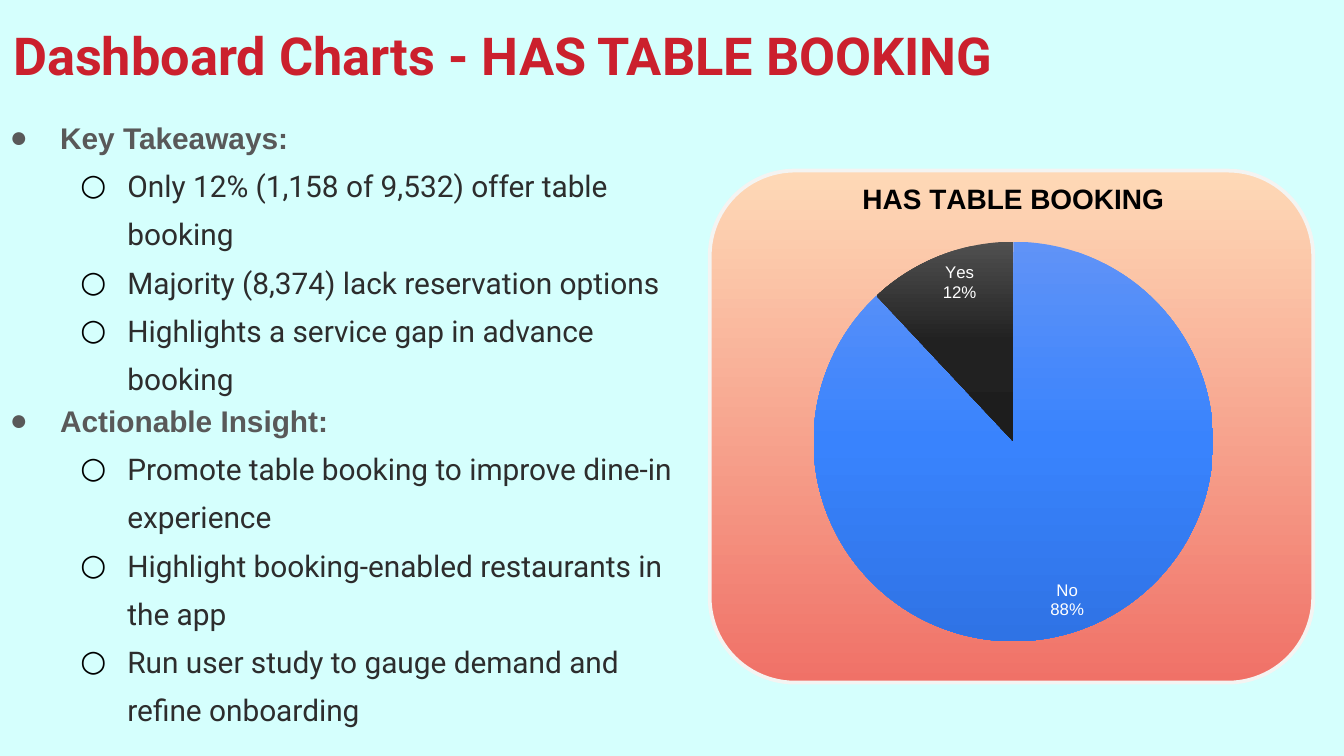
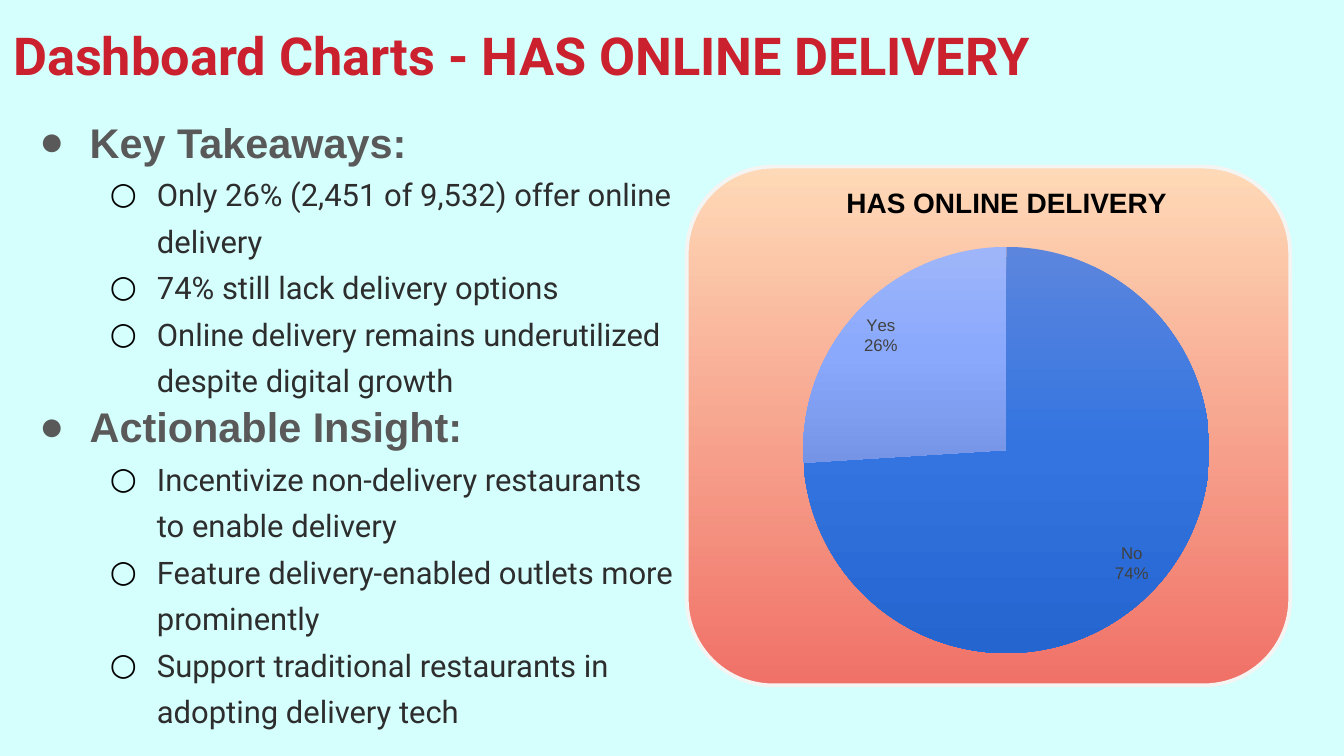
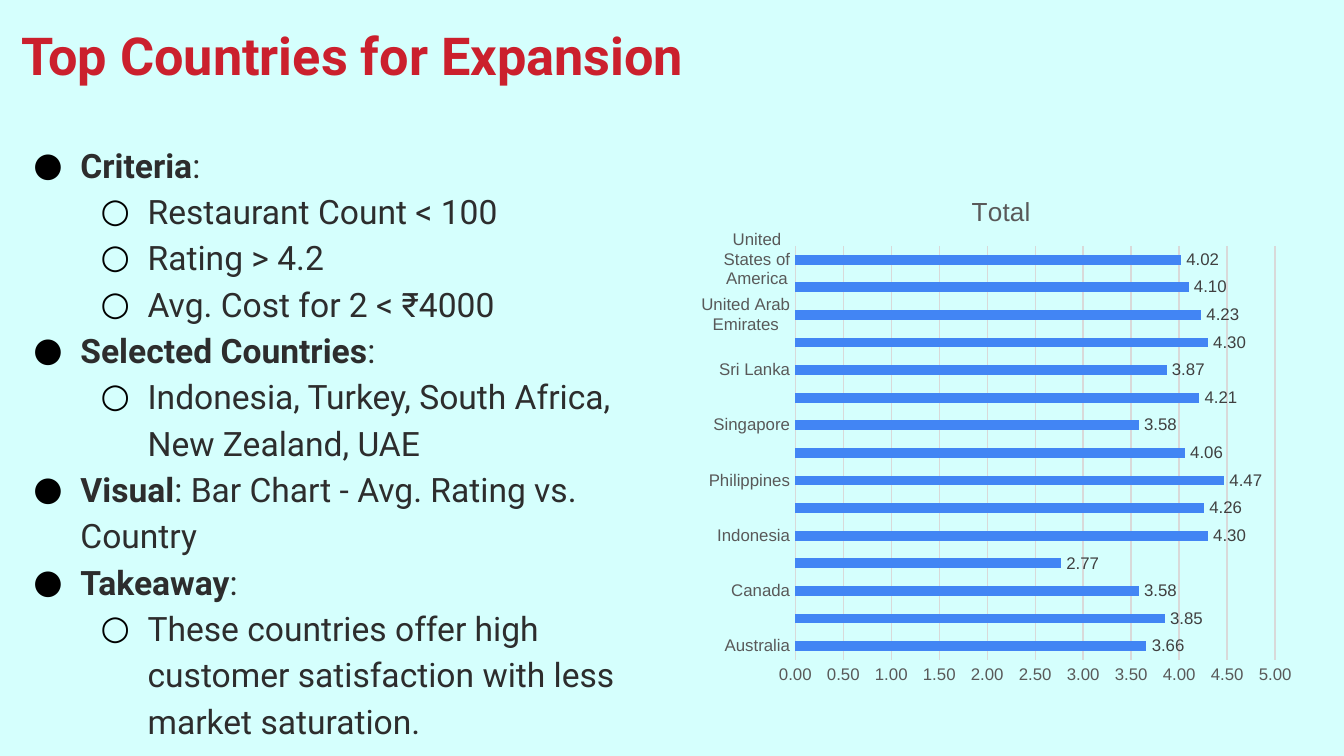
from copy import deepcopy

from lxml import etree
from pptx import Presentation
from pptx.chart import data as chart_data
from pptx.dml.color import RGBColor
from pptx.enum import chart as charts, shapes, text
from pptx.oxml import ns
from pptx.util import Pt

AQUA = RGBColor(0xD5, 0xFF, 0xFD)
RED = RGBColor(0xCB, 0x20, 0x2D)
INK = RGBColor(0x2D, 0x2D, 0x2D)
GREY = RGBColor(0x59, 0x59, 0x59)
LABEL_GREY = RGBColor(0x40, 0x40, 0x40)
GRID_GREY = RGBColor(0xD9, 0xD9, 0xD9)
BLACK = RGBColor(0, 0, 0)
WHITE = RGBColor(0xFF, 0xFF, 0xFF)
CARD_LINE = RGBColor(0xF4, 0xF4, 0xF2)
BAR_BLUE = RGBColor(0x42, 0x85, 0xF4)
CARD_STOPS = [RGBColor(0xFE, 0xD9, 0xB7), RGBColor(0xF0, 0x71, 0x67)]
BRIGHT_BLUE = [RGBColor(0x60, 0x93, 0xF7), RGBColor(0x39, 0x83, 0xFD), RGBColor(0x2F, 0x73, 0xE5)]
CHARCOAL = [RGBColor(0x50, 0x50, 0x50), RGBColor(0x21, 0x21, 0x21), RGBColor(0x1D, 0x1D, 0x1D)]
DEEP_BLUE = [RGBColor(0x5C, 0x86, 0xDE), RGBColor(0x33, 0x74, 0xE0), RGBColor(0x24, 0x65, 0xD0)]
PALE_BLUE = [RGBColor(0x9E, 0xB6, 0xF9), RGBColor(0x8A, 0xA9, 0xFC), RGBColor(0x75, 0x94, 0xE5)]

BODY_FONT = "Roboto"
CHART_FONT = "Arial"
INSET = 7.2

BOOKING = [
    ("Key Takeaways:", [
        "Only 12% (1,158 of 9,532) offer table booking",
        "Majority (8,374) lack reservation options",
        "Highlights a service gap in advance booking"]),
    ("Actionable Insight:", [
        "Promote table booking to improve dine-in experience",
        "Highlight booking-enabled restaurants in the app",
        "Run user study to gauge demand and refine onboarding"]),
]
DELIVERY = [
    ("Key Takeaways:", [
        "Only 26% (2,451 of 9,532) offer online delivery",
        "74% still lack delivery options",
        "Online delivery remains underutilized despite digital growth"]),
    ("Actionable Insight:", [
        "Incentivize non-delivery restaurants to enable delivery",
        "Feature delivery-enabled outlets more prominently",
        "Support traditional restaurants in adopting delivery tech"]),
]
EXPANSION = [
    ("Criteria", ":", ["Restaurant Count < 100", "Rating > 4.2", "Avg. Cost for 2 < ₹4000"]),
    ("Selected Countries", ":", ["Indonesia, Turkey, South Africa, New Zealand, UAE"]),
    ("Visual", ": Bar Chart - Avg. Rating vs. Country", []),
    ("Takeaway", ":", [
        "These countries offer high customer satisfaction with less market saturation."]),
]
RATINGS = {
    "Australia": 3.66, "Brazil": 3.85, "Canada": 3.58, "India": 2.77, "Indonesia": 4.3,
    "New Zealand": 4.26, "Philippines": 4.47, "Qatar": 4.06, "Singapore": 3.58,
    "South Africa": 4.21, "Sri Lanka": 3.87, "Turkey": 4.3, "United Arab Emirates": 4.23,
    "United Kingdom": 4.1, "United States of America": 4.02,
}


def style_font(font, size, color, name=CHART_FONT, bold=False):
    font.size = Pt(size)
    font.name = name
    font.bold = bold
    font.color.rgb = color


def add_span(para, words, size, color, name=BODY_FONT, bold=False):
    span = para.add_run()
    span.text = words
    style_font(span.font, size, color, name, bold)


def add_frame(page, box):
    frame = page.shapes.add_textbox(*map(Pt, box)).text_frame
    frame.word_wrap = True
    frame.vertical_anchor = text.MSO_ANCHOR.TOP
    frame.margin_left = frame.margin_right = Pt(INSET)
    frame.margin_top = frame.margin_bottom = Pt(INSET)
    return frame


def add_child(parent, tag, **attributes):
    return etree.SubElement(parent, ns.qn(tag), attributes)


def add_bullet(frame, level, spacing, color, hang):
    para = frame.paragraphs[0]
    if para.runs:
        para = frame.add_paragraph()
    para.level = level
    para.line_spacing = spacing
    para.space_before = Pt(0)
    props = para._p.get_or_add_pPr()
    props.set("marL", str(Pt(36 * (level + 1))))
    props.set("indent", str(-Pt(hang)))
    add_child(add_child(props, "a:buClr"), "a:srgbClr", val=str(color))
    add_child(props, "a:buFont", typeface=BODY_FONT if level or color == BLACK else CHART_FONT)
    add_child(props, "a:buChar", char="○" if level else "●")
    return para


def add_page(deck, title, left=0):
    page = deck.slides.add_slide(deck.slide_layouts[6])
    page.background.fill.solid()
    page.background.fill.fore_color.rgb = AQUA
    para = add_frame(page, (left, 0, 671, 45.4)).paragraphs[0]
    para.line_spacing = 1.15
    para.space_before = Pt(12)
    add_span(para, title, 28, RED, bold=True)
    return page


def add_insights(page, box, sections, head_size, point_size, head_spacing):
    frame = add_frame(page, box)
    for heading, points in sections:
        para = add_bullet(frame, 0, head_spacing, GREY, 27)
        add_span(para, heading, head_size, GREY, CHART_FONT, True)
        for point in points:
            para = add_bullet(frame, 1, head_spacing + 0.2, BLACK, 25.2)
            add_span(para, point, point_size, INK)


def add_criteria(page, box, sections):
    frame = add_frame(page, box)
    for heading, rest, points in sections:
        para = add_bullet(frame, 0, 1.15, BLACK, 25.2)
        add_span(para, heading, 18, INK, bold=True)
        add_span(para, rest, 18, INK)
        for point in points:
            add_span(add_bullet(frame, 1, 1.15, BLACK, 25.2), point, 18, INK)


def paint_gradient(fill, props, colors):
    fill.gradient()
    fill.gradient_angle = 270
    stops = props.find(ns.qn("a:gradFill")).find(ns.qn("a:gsLst"))
    while len(stops) < len(colors):
        stops.append(deepcopy(stops[-1]))
    for index, (stop, color) in enumerate(zip(fill.gradient_stops, colors)):
        stop.position = index / (len(colors) - 1)
        stop.color.rgb = color


def add_card(page, box):
    card = page.shapes.add_shape(shapes.MSO_SHAPE.ROUNDED_RECTANGLE, *map(Pt, box))
    card.shadow.inherit = False
    paint_gradient(card.fill, card.element.spPr, CARD_STOPS)
    card.line.color.rgb = CARD_LINE
    card.line.width = Pt(2)


def add_plain_chart(page, box, kind, name, values, title, title_size, title_color, bold):
    source = chart_data.CategoryChartData()
    source.categories = list(values)
    source.add_series(name, list(values.values()))
    chart = page.shapes.add_chart(kind, *map(Pt, box), source).chart
    style_font(chart.font, 10, BLACK)
    chart.has_legend = False
    chart.has_title = True
    para = chart.chart_title.text_frame.paragraphs[0]
    add_span(para, title, title_size, title_color, CHART_FONT, bold)
    chart.chart_title.include_text_in_layout = False
    return chart


def place_plot(chart, x, y, w, h):
    area = chart.element.chart.plotArea
    for old in area.findall(ns.qn("c:layout")):
        area.remove(old)
    layout = etree.Element(ns.qn("c:layout"))
    area.insert(0, layout)
    manual = add_child(layout, "c:manualLayout")
    add_child(manual, "c:layoutTarget", val="inner")
    for side in "xy":
        add_child(manual, f"c:{side}Mode", val="edge")
    for side, share in zip("xywh", (x, y, w, h)):
        add_child(manual, f"c:{side}", val=f"{share:.3f}")


def style_labels(series, position, color, number_format):
    labels = series.data_labels
    style_font(labels.font, 9, color)
    labels.number_format = number_format
    labels.number_format_is_linked = False
    labels.position = position
    return labels


def add_pie(page, box, title, values, gradients, label_color):
    chart = add_plain_chart(page, box, charts.XL_CHART_TYPE.PIE, "Series 1", values,
                            title, 15, BLACK, True)
    width = 0.8 * box[3] / box[2]
    place_plot(chart, (1 - width) / 2, 0.166, width, 0.8)
    chart.plots[0].vary_by_categories = True
    series = chart.plots[0].series[0]
    for index, colors in enumerate(gradients):
        fill = series.points[index].format.fill
        props = chart.element.xpath(".//c:dPt/c:spPr")[index]
        paint_gradient(fill, props, colors)
    labels = style_labels(series, charts.XL_LABEL_POSITION.INSIDE_END, label_color, "0%")
    labels.show_value = False
    labels.show_category_name = True
    labels.show_percentage = True
    separator = etree.Element(ns.qn("c:separator"))
    separator.text = "\n"
    chart.element.xpath(".//c:ser/c:dLbls/c:showBubbleSize")[0].addnext(separator)


def add_ratings(page, box):
    chart = add_plain_chart(page, box, charts.XL_CHART_TYPE.BAR_CLUSTERED, "Total", RATINGS,
                            "Total", 14, GREY, False)
    place_plot(chart, 0.161, 0.141, 0.79, 0.79)
    plot = chart.plots[0]
    plot.vary_by_categories = False
    plot.gap_width = 182
    series = plot.series[0]
    series.format.fill.solid()
    series.format.fill.fore_color.rgb = BAR_BLUE
    labels = style_labels(series, charts.XL_LABEL_POSITION.OUTSIDE_END, LABEL_GREY, "0.00")
    labels.show_value = True
    for axis in (chart.category_axis, chart.value_axis):
        style_font(axis.tick_labels.font, 9, GREY)
        axis.major_tick_mark = axis.minor_tick_mark = charts.XL_TICK_MARK.NONE
    scale = chart.value_axis
    scale.minimum_scale, scale.maximum_scale, scale.major_unit = 0, 5, 0.5
    scale.tick_labels.number_format = "0.00"
    scale.tick_labels.number_format_is_linked = False
    scale.format.line.fill.background()
    scale.has_major_gridlines = True
    for line in (scale.major_gridlines.format.line, chart.category_axis.format.line):
        line.color.rgb = GRID_GREY
        line.width = Pt(0.75)


def main():
    deck = Presentation()
    deck.slide_width, deck.slide_height = Pt(720), Pt(405)

    page = add_page(deck, "Dashboard Charts - HAS TABLE BOOKING")
    add_card(page, (380.2, 91.4, 323.3, 274.3))
    add_pie(page, (380.2, 85, 325.4, 267.8), "HAS TABLE BOOKING", {"No": 88, "Yes": 12},
            [BRIGHT_BLUE, CHARCOAL], WHITE)
    add_insights(page, (-10.8, 54, 379.4, 345.6), BOOKING, 16, 16, 1.15)

    page = add_page(deck, "Dashboard Charts - HAS ONLINE DELIVERY")
    add_insights(page, (5, 54, 363.6, 376.6), DELIVERY, 22.2, 16.6, 1.05)
    add_card(page, (367.9, 89.3, 323.3, 277.9))
    add_pie(page, (384.5, 87.1, 309.6, 272.2), "HAS ONLINE DELIVERY", {"No": 74, "Yes": 26},
            [DEEP_BLUE, PALE_BLUE], LABEL_GREY)

    page = add_page(deck, "Top Countries for Expansion", 4.3)
    add_criteria(page, (0, 67, 373.7, 328.3), EXPANSION)
    add_ratings(page, (373.7, 92.2, 325.4, 280.8))

    deck.save("out.pptx")


if __name__ == "__main__":
    main()
